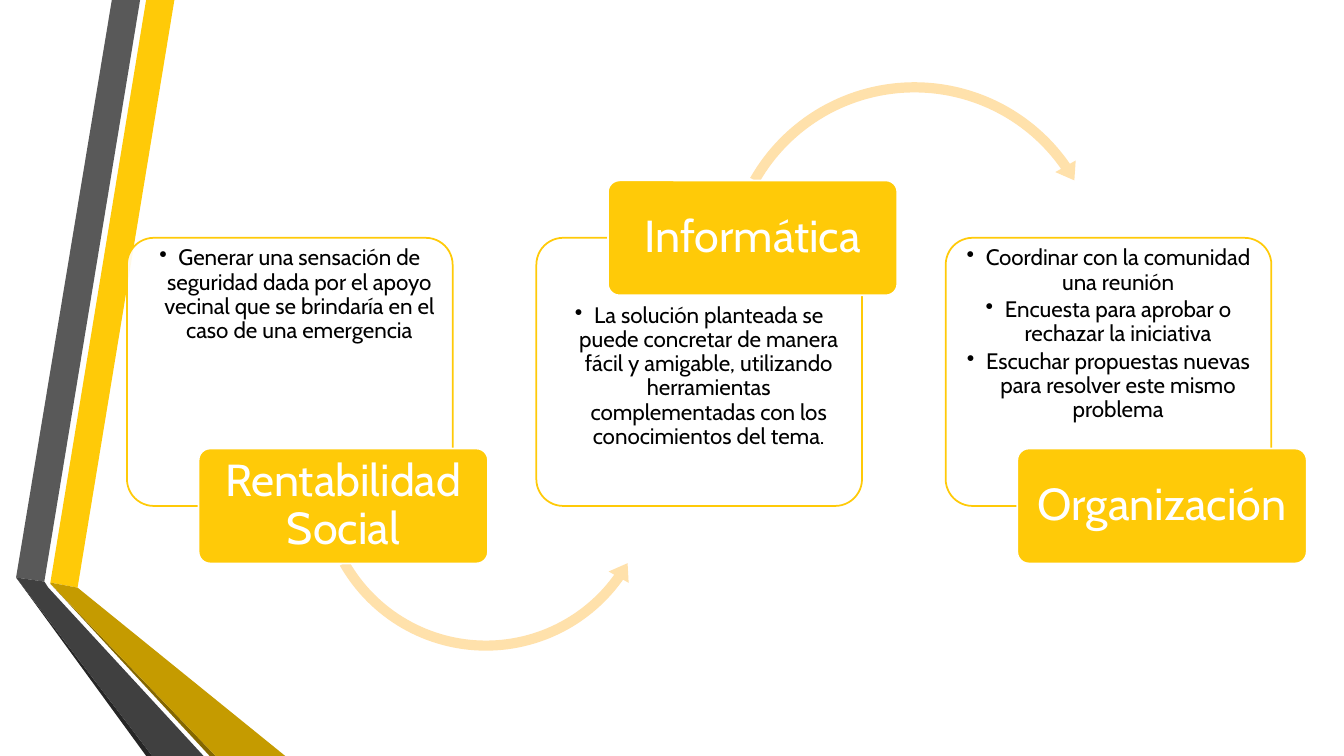
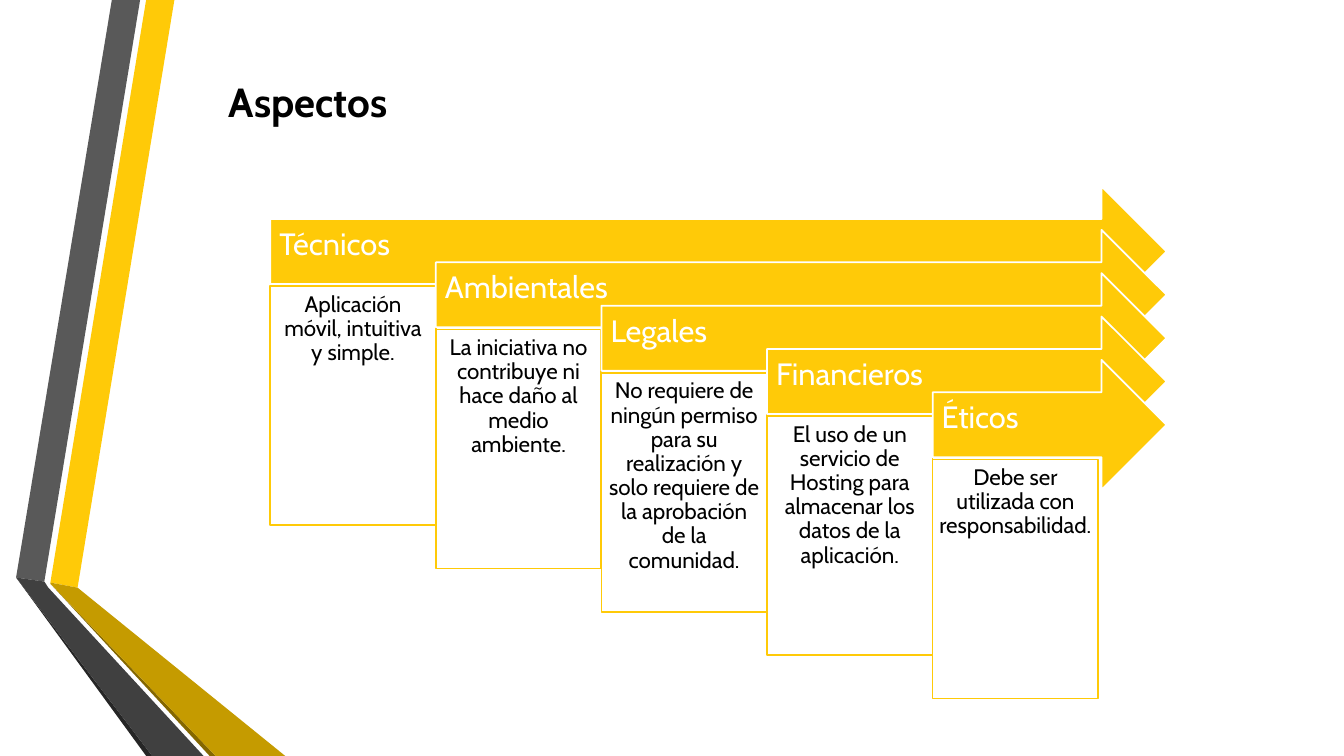
from lxml import etree
from pptx import Presentation
from pptx import util as u
from pptx.dml.color import RGBColor
from pptx.enum import shapes, text
from pptx.oxml.ns import qn

YELLOW = RGBColor(0xFF, 0xCA, 0x08)
OCHRE = RGBColor(0xC5, 0x9B, 0x00)
BROWN = RGBColor(0x84, 0x67, 0x00)
PALE = RGBColor(0xFF, 0xE1, 0xAB)
GRAY = RGBColor(0x59, 0x59, 0x59)
DARK = RGBColor(0x40, 0x40, 0x40)
COAL = RGBColor(0x26, 0x26, 0x26)
WHITE = RGBColor(0xFF, 0xFF, 0xFF)
BLACK = RGBColor(0x00, 0x00, 0x00)

FONT = "Cabin"
BODY_SIZE = 16
KIND = shapes.MSO_SHAPE
LEFT, CENTER = text.PP_ALIGN.LEFT, text.PP_ALIGN.CENTER
TOP, MIDDLE = text.MSO_ANCHOR.TOP, text.MSO_ANCHOR.MIDDLE

# Folded ribbons down the left edge, from back to front
RIBBONS = [
    (YELLOW, [(0.5, 5.78), (0.77, 5.83), (1.73, 0), (1.45, 0)]),
    (GRAY, [(1.39, 0), (1.11, 0), (0.16, 5.73), (0.44, 5.77)]),
    (COAL, [(0.16, 5.73), (1.45, 7.5), (1.51, 7.5)]),
    (BROWN, [(0.5, 5.79), (2.08, 7.5), (2.14, 7.5)]),
    (OCHRE, [(0.5, 5.79), (2.14, 7.5), (2.83, 7.5), (0.77, 5.83), (0.5, 5.78)]),
    (DARK, [(2.02, 7.5), (0.48, 5.83), (0.44, 5.77), (0.16, 5.73), (1.51, 7.5)]),
]

GOALS = [
    ("Rentabilidad Social", [
        "Generar una sensación de seguridad dada por el apoyo vecinal que se "
        "brindaría en el caso de una emergencia"]),
    ("Informática", [
        "La solución planteada se puede concretar de manera fácil y amigable, "
        "utilizando herramientas complementadas con los conocimientos del tema."]),
    ("Organización", [
        "Coordinar con la comunidad una reunión",
        "Encuesta para aprobar o rechazar la iniciativa",
        "Escuchar propuestas nuevas para resolver este mismo problema"]),
]

ASPECTS = [
    ("Técnicos", "Aplicación móvil, intuitiva y simple."),
    ("Ambientales", "La iniciativa no contribuye ni hace daño al medio ambiente."),
    ("Legales", "No requiere de ningún permiso para su realización y solo requiere "
                "de la aprobación de la comunidad."),
    ("Financieros", "El uso de un servicio de Hosting para almacenar los datos de "
                    "la aplicación."),
    ("Éticos", "Debe ser utilizada con responsabilidad."),
]


class Slides:
    """The deck's style together with the slide being filled."""

    def __init__(self):
        self.deck = Presentation()
        self.deck.slide_width = u.Inches(13.33)
        self.deck.slide_height = u.Inches(7.5)
        self.page = None

    def add_page(self, layout):
        self.page = self.deck.slides.add_slide(self.deck.slide_layouts[layout])

    def ribbons(self):
        """Draw the ribbons and move them to the master, for every slide."""
        master_tree = self.deck.slide_master.shapes.element
        for number, (color, points) in enumerate(RIBBONS, 101):
            start, *rest = [(u.Inches(x), u.Inches(y)) for x, y in points]
            builder = self.page.shapes.build_freeform(*start)
            builder.add_line_segments(rest, close=True)
            ribbon = builder.convert_to_shape()
            self.paint(ribbon, color)
            ribbon.element.xpath("./p:nvSpPr/p:cNvPr")[0].set("id", str(number))
            master_tree.append(ribbon.element)

    def paint(self, shape, fill, line=None):
        shape.shadow.inherit = False
        shape.fill.solid()
        shape.fill.fore_color.rgb = fill
        if line is None:
            shape.line.fill.background()
        else:
            shape.line.color.rgb = line
            shape.line.width = u.Pt(1.25)

    def shape(self, kind, at, fill, line=None, adjust=()):
        shape = self.page.shapes.add_shape(kind, *map(u.Inches, at))
        for index, value in enumerate(adjust):
            shape.adjustments[index] = value
        self.paint(shape, fill, line)
        return shape

    def set_text(self, shape, lines, size, color, align=CENTER, anchor=MIDDLE,
                 insets=(0.07, 0.04, 0.07, 0.04), bold=False, bullets=False):
        """Fill a shape with paragraphs; insets are left, top, right, bottom."""
        frame = shape.text_frame
        frame.word_wrap = True
        frame.auto_size = text.MSO_AUTO_SIZE.NONE
        frame.vertical_anchor = anchor
        (frame.margin_left, frame.margin_top,
         frame.margin_right, frame.margin_bottom) = map(u.Inches, insets)
        for index, line in enumerate(lines):
            para = frame.add_paragraph() if index else frame.paragraphs[0]
            para.text = line
            para.alignment = align
            para.line_spacing = 0.9
            para.font.name = FONT
            para.font.size = u.Pt(size)
            para.font.bold = bold
            para.font.color.rgb = color
            if bullets:
                para.space_after = u.Pt(2.4)
                self.bullet(para)

    def bullet(self, para):
        properties = para._p.get_or_add_pPr()
        properties.set("marL", str(u.Inches(0.19)))
        properties.set("indent", str(-u.Inches(0.19)))
        mark = etree.Element(qn("a:buChar"), char="•")
        properties.find(qn("a:defRPr")).addprevious(mark)

    def title(self, words):
        title = self.page.shapes.title
        title.left, title.top = u.Inches(2.1), u.Inches(0.37)
        title.width, title.height = u.Inches(3.93), u.Inches(1.34)
        self.set_text(title, [words], 29, BLACK, align=LEFT, bold=True,
                      insets=(0.17, 0.05, 0.1, 0.05))

    def panel(self, left, lines, top_inset):
        panel = self.shape(KIND.ROUNDED_RECTANGLE, (left, 2.36, 3.23, 2.66),
                           WHITE, YELLOW, [0.1])
        color = panel.element.spPr.find(qn("a:solidFill"))[0]
        etree.SubElement(color, qn("a:alpha"), val="90000")
        self.set_text(panel, lines, BODY_SIZE, BLACK, anchor=TOP, bullets=True,
                      insets=(0.01, top_inset, 0.01, 0.01))

    def label(self, left, top, words):
        label = self.shape(KIND.ROUNDED_RECTANGLE, (left, top, 2.87, 1.14),
                           YELLOW, WHITE, [0.1])
        self.set_text(label, [words], 32, WHITE)

    def arrow(self, at, words):
        arrow = self.shape(KIND.RIGHT_ARROW, at, YELLOW, WHITE, [0.5, 0.5])
        self.set_text(arrow, [words], 22, WHITE, align=LEFT,
                      insets=(0.09, 0.09, 0.28, 0.21))

    def box(self, at, words):
        inset = 0.3 * BODY_SIZE / 72
        box = self.shape(KIND.RECTANGLE, at, WHITE, YELLOW)
        self.set_text(box, [words], BODY_SIZE, BLACK, anchor=TOP,
                      insets=[inset] * 4)


def goals_page(slides):
    curves = [
        (KIND.LEFT_CIRCULAR_ARROW, (3.09, 3.06, 3.46, 3.46),
         [0.029, 3.508, 21.263, 90.245, 0.033]),
        (KIND.CIRCULAR_ARROW, (7.13, 0.75, 3.88, 3.88),
         [0.026, 3.112, 195.133, 125.755, 0.03]),
    ]
    for index, (name, lines) in enumerate(GOALS):
        left = 1.26 + 4.06 * index
        label_on_top = index % 2 == 1
        slides.panel(left, lines, 0.58 if label_on_top else 0.01)
        if index < len(curves):
            kind, at, adjust = curves[index]
            slides.shape(kind, at, PALE, adjust=adjust)
        slides.label(left + 0.71, 1.79 if label_on_top else 4.45, name)


def aspects_page(slides):
    slides.title("Aspectos")
    first, last, right = 2.68, 9.25, 11.57
    step = (last - first) / (len(ASPECTS) - 1)
    for index, (name, detail) in enumerate(ASPECTS):
        left, top = first + step * index, 1.85 + 0.43 * index
        slides.arrow((left, top, right - left, 1.29), name)
        slides.box((left, top + 0.99, step, 2.37), detail)


def main():
    slides = Slides()
    slides.add_page(6)
    slides.ribbons()
    goals_page(slides)
    slides.add_page(5)
    aspects_page(slides)
    slides.deck.save("out.pptx")


if __name__ == "__main__":
    main()
